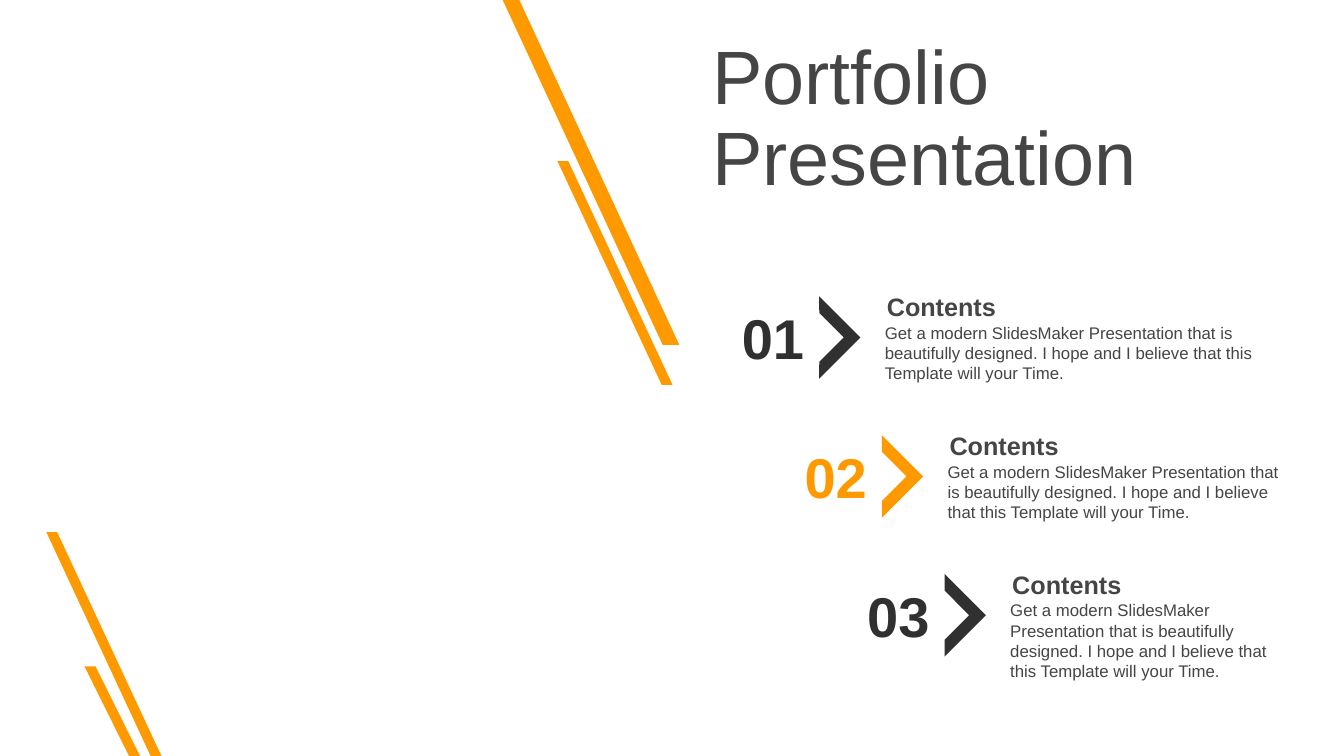
"""Build the portfolio contents slide with three stepped entries."""
from dataclasses import dataclass

from pptx import Presentation
from pptx import util as u
from pptx.dml.color import RGBColor
from pptx.enum import shapes, text

TITLE = "Portfolio Presentation"
BODY = ("Get a modern SlidesMaker Presentation that is beautifully designed. "
        "I hope and I believe that this Template will your Time.")
ENTRIES = [
    {"number": "01", "heading": "Contents", "body": BODY, "accent": "dark", "body_height": 1.8},
    {"number": "02", "heading": "Contents", "body": BODY, "accent": "orange", "body_height": 1.8},
    {"number": "03", "heading": "Contents", "body": BODY, "accent": "dark", "body_height": 2.31},
]
SLASHES = [
    (12.67, 0, 4.45, 8.69, 0.906),
    (14.05, 4.06, 2.9, 5.64, 0.906),
    (2.13, 16.79, 1.4, 2.26, 0.802),
    (1.17, 13.41, 2.9, 5.64, 0.906),
]
STEP_X, STEP_Y = 1.58, 3.5
NARROWING = 1.54


@dataclass(frozen=True)
class Theme:
    """Colours, font and type sizes of the slide."""
    orange: str = "FE9900"
    dark: str = "303030"
    grey: str = "454545"
    font: str = "Arial"
    title: int = 54
    number: int = 40
    heading: int = 18
    body: int = 12


THEME = Theme()
PADDED = {"margin_left": u.Cm(0.3), "margin_right": u.Cm(0.3)}


def apply(target, formats):
    """Set every attribute in a dict of format values."""
    for name, value in formats.items():
        setattr(target, name, value)


def write(holder, words, size, colour, bold=False, frame=None, paragraph=None):
    """Put one formatted paragraph into a shape."""
    apply(holder.text_frame, {"word_wrap": True, "text": words, **(frame or {})})
    line = holder.text_frame.paragraphs[0]
    apply(line, paragraph or {})
    apply(line.font, {"name": THEME.font, "size": u.Pt(size), "bold": bold})
    line.font.color.rgb = RGBColor.from_string(colour)


def add_label(slide, box, words, size, colour, **formats):
    """Add a text box that grows with its text."""
    label = slide.shapes.add_textbox(*map(u.Cm, box))
    write(label, words, size, colour, **formats)
    label.text_frame.auto_size = text.MSO_AUTO_SIZE.SHAPE_TO_FIT_TEXT


def add_solid(slide, preset, box, colour, adjustments):
    """Add a flat, borderless preset shape."""
    solid = slide.shapes.add_shape(preset, *map(u.Cm, box))
    solid.shadow.inherit = False
    solid.fill.solid()
    solid.fill.fore_color.rgb = RGBColor.from_string(colour)
    solid.line.fill.background()
    for index, value in enumerate(adjustments):
        solid.adjustments[index] = value
    return solid


def add_entry(slide, index, entry):
    """Add one numbered entry, moved one step right and down."""
    x, y = index * STEP_X, index * STEP_Y
    width = 10.57 - index * NARROWING
    accent = getattr(THEME, entry["accent"])
    add_label(slide, (22.05 + x, 8 + y, width, entry["body_height"]),
              entry["body"], THEME.body, THEME.grey)
    add_label(slide, (22.05 + x, 7.22 + y, width, 1.02),
              entry["heading"], THEME.heading, THEME.grey, bold=True, frame=PADDED)
    add_label(slide, (18.39 + x, 7.52 + y, 2.18, 1.96),
              entry["number"], THEME.number, accent, bold=True,
              frame={**PADDED, "word_wrap": False},
              paragraph={"alignment": text.PP_ALIGN.CENTER})
    chevron = add_solid(slide, shapes.MSO_SHAPE.HALF_FRAME,
                        (19.91 + x, 7.77 + y, 1.47, 1.47), accent, (0.204, 0.201))
    chevron.rotation = 135


def main():
    """Create and save the slide."""
    deck = Presentation()
    apply(deck, {"slide_width": u.Cm(33.87), "slide_height": u.Cm(19.05)})
    slide = deck.slides.add_slide(deck.slide_layouts[5])

    for *box, slant in SLASHES:
        slash = add_solid(slide, shapes.MSO_SHAPE.PARALLELOGRAM, box, THEME.orange, (slant,))
        slash._element.spPr.xfrm.set("flipH", "1")
    for index, entry in enumerate(ENTRIES):
        add_entry(slide, index, entry)

    title = slide.shapes.title
    apply(title, {"left": u.Cm(17.7), "top": u.Cm(0.61),
                  "width": u.Cm(13.28), "height": u.Cm(4.85)})
    write(title, TITLE, THEME.title, THEME.grey,
          frame={"auto_size": text.MSO_AUTO_SIZE.NONE,
                 "vertical_anchor": text.MSO_ANCHOR.MIDDLE},
          paragraph={"alignment": text.PP_ALIGN.LEFT, "line_spacing": 0.9})
    deck.save("out.pptx")


if __name__ == "__main__":
    main()
